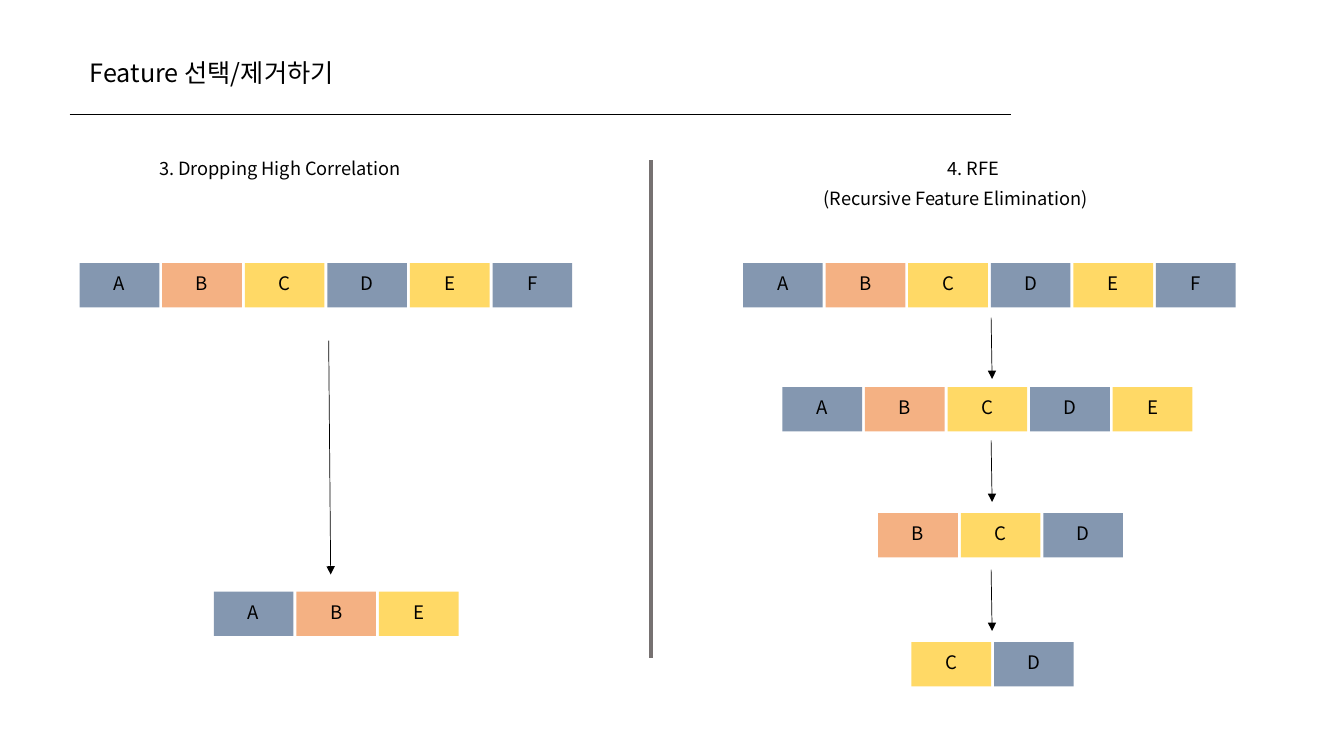
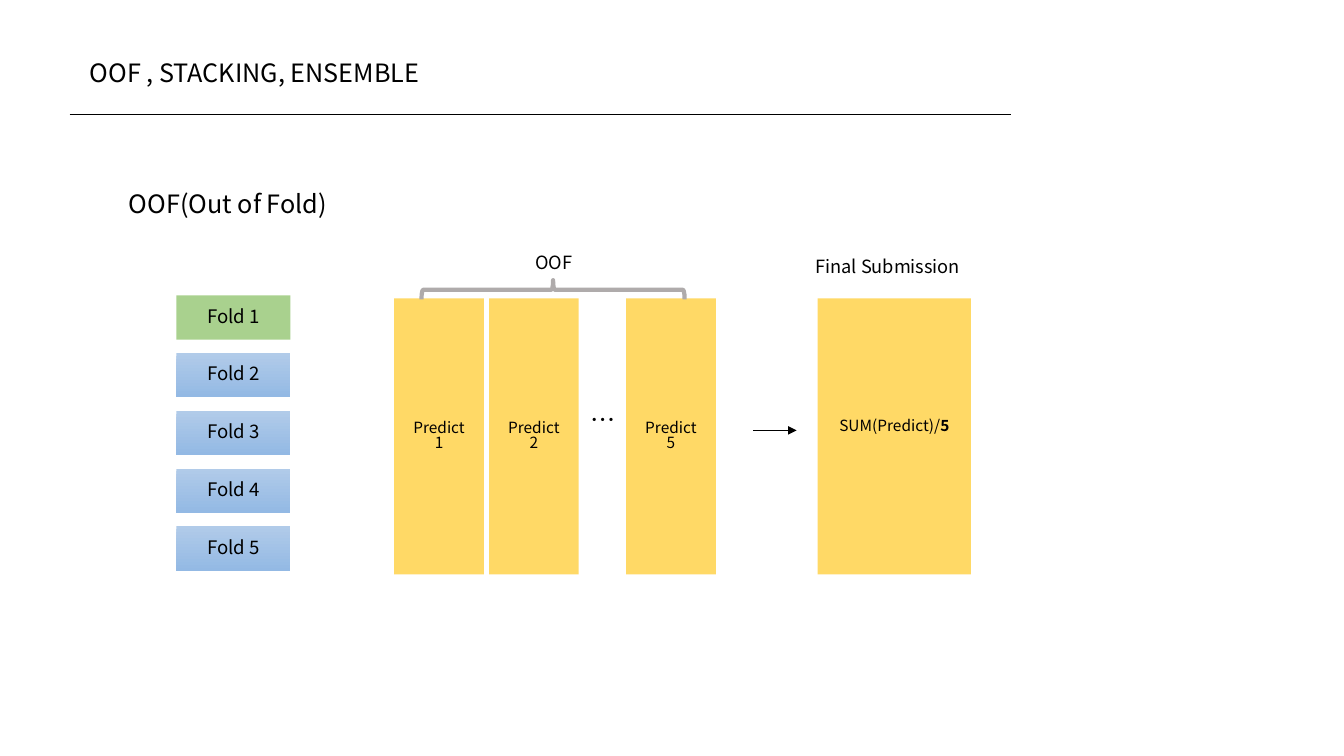
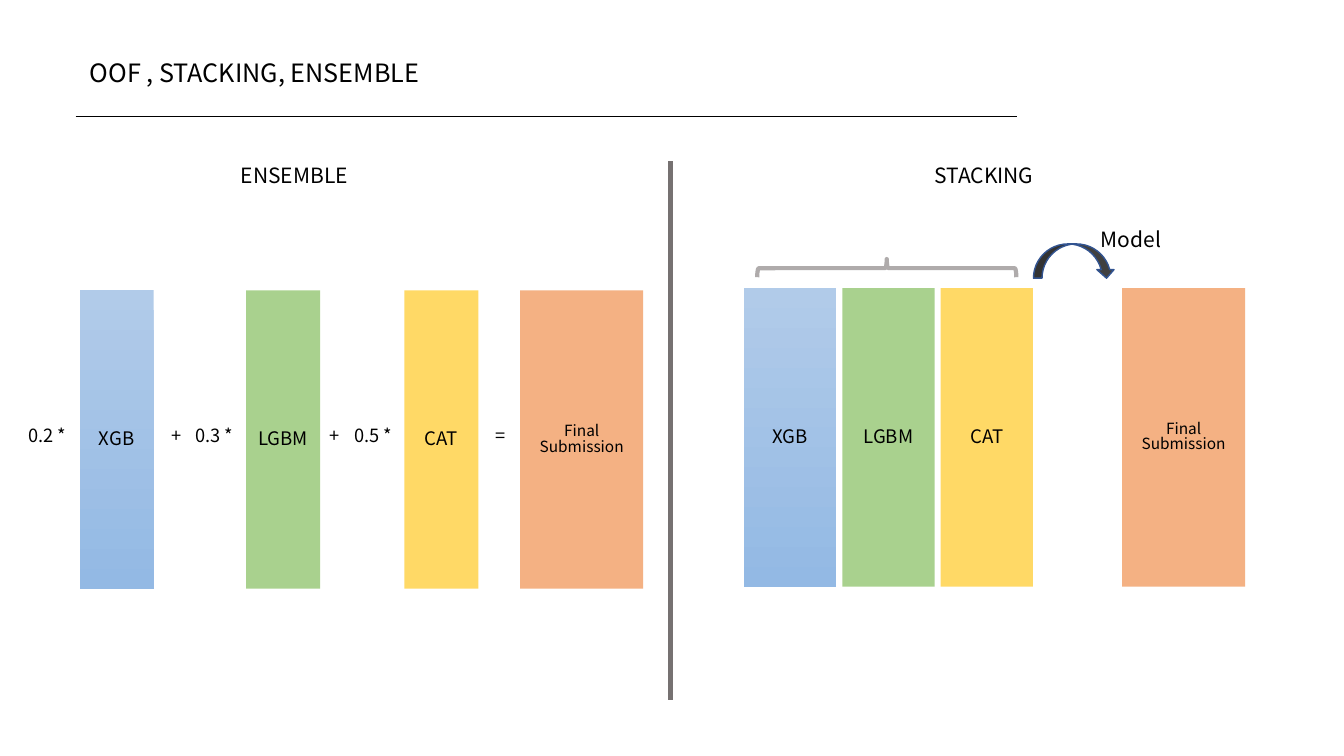
from lxml.etree import SubElement
from pptx import Presentation
from pptx.dml.color import RGBColor
from pptx.enum.shapes import MSO_CONNECTOR, MSO_SHAPE
from pptx.enum.text import MSO_ANCHOR, MSO_AUTO_SIZE, PP_ALIGN
from pptx.oxml.ns import qn
from pptx.util import Inches, Pt

FONT = "Noto Sans CJK KR"
BLACK, GREY, BRACE_GREY = "000000", "767171", "AFABAB"
SLATE, ORANGE, YELLOW, GREEN = "8497B0", "F4B183", "FFD966", "A9D18E"
BLUE = ("B1CBE9", "93B9E4")
DARK, NAVY = "404040", "325491"
FEATURE_COLORS = dict(zip("ABCDEF", (SLATE, ORANGE, YELLOW, SLATE, YELLOW, SLATE)))
MODELS = (("XGB", BLUE), ("LGBM", GREEN), ("CAT", YELLOW))
COLUMNS, ROWS = 133.3, 75
CELL_W, CELL_H, CELL_STEP = 7.9, 4.4, 8.19


def grid(*values):
    return [Inches(v / 10) for v in values]


def within(box, x, y, w, h):
    return box[0] + x, box[1] + y, w, h


def rgb(color):
    return RGBColor.from_string(color)


def paint(sp, color):
    if isinstance(color, tuple):
        sp.fill.gradient()
        sp.fill.gradient_angle = 270
        for stop, c in zip(sp.fill.gradient_stops, color):
            stop.color.rgb = rgb(c)
    elif color:
        sp.fill.solid()
        sp.fill.fore_color.rgb = rgb(color)
    else:
        sp.fill.background()


def write(sp, text, size=13, align=PP_ALIGN.LEFT, anchor=MSO_ANCHOR.TOP,
          side=1, bottom=0.5, bold_tail=""):
    tf = sp.text_frame
    tf.word_wrap = True
    tf.auto_size = MSO_AUTO_SIZE.NONE
    tf.vertical_anchor = anchor
    tf.margin_left, tf.margin_right, tf.margin_top, tf.margin_bottom = grid(side, side, 0.5, bottom)
    for i, line in enumerate(text.split("\n")):
        p = tf.paragraphs[0] if i == 0 else tf.add_paragraph()
        p.alignment = align
        p.line_spacing = 0.85
        for part, bold in ((line, False), (bold_tail, True)):
            if part:
                r = p.add_run()
                r.text = part
                r.font.size = Pt(size)
                r.font.name = FONT
                r.font.bold = bold
                r.font.color.rgb = rgb(BLACK)
                SubElement(r.font._element, qn("a:ea"), typeface=FONT)


def label(slide, box, text, **fmt):
    write(slide.shapes.add_textbox(*grid(*box)), text, **fmt)


def shape(slide, kind, box, fill=None, line=None, width=1):
    sp = slide.shapes.add_shape(kind, *grid(*box))
    sp.shadow.inherit = False
    paint(sp, fill)
    if line:
        sp.line.color.rgb = rgb(line)
        sp.line.width = Pt(width)
    else:
        sp.line.fill.background()
    return sp


def block(slide, box, text, fill, size=13.3, **fmt):
    sp = shape(slide, MSO_SHAPE.RECTANGLE, box, fill)
    write(sp, text, size=size, align=PP_ALIGN.CENTER, anchor=MSO_ANCHOR.MIDDLE, side=0.5, **fmt)


def line(slide, x1, y1, x2, y2, color=BLACK, width=0.5, arrow=False):
    c = slide.shapes.add_connector(MSO_CONNECTOR.STRAIGHT, *grid(x1, y1, x2, y2))
    c.line.color.rgb = rgb(color)
    c.line.width = Pt(width)
    sp_pr = c._element.spPr
    if arrow:
        SubElement(sp_pr.find(qn("a:ln")), qn("a:tailEnd"), type="triangle")
    SubElement(sp_pr, qn("a:effectLst"))


def brace(slide, box):
    x, y, w, h = box
    upright = (x + (w - h) / 2, y + (h - w) / 2, h, w)
    shape(slide, MSO_SHAPE.LEFT_BRACE, upright, line=BRACE_GREY, width=3).rotation = 90


def titled_slide(prs, title, rule_x=6.9, rule_y=11.3):
    slide = prs.slides.add_slide(prs.slide_layouts[5])
    sp = slide.shapes.title
    sp.left, sp.top, sp.width, sp.height = grid(7.9, 5.6, 44.5, 4)
    write(sp, title, size=18)
    line(slide, rule_x, rule_y, rule_x + 93.4, rule_y)
    return slide


def divider(slide, x, top, bottom):
    line(slide, x, top, x, bottom, GREY, 3)


def feature_chain(slide, box, x, y, names):
    for i, name in enumerate(names):
        cell = within(box, x + i * CELL_STEP, y, CELL_W, CELL_H)
        block(slide, cell, name, FEATURE_COLORS[name])


def elimination(slide, box, headings, chains, arrows):
    for x, y, w, text in headings:
        label(slide, within(box, x, y, w, 3.2), text)
    for x, y, names in chains:
        feature_chain(slide, box, x, y, names)
    for x, y, dx, dy in arrows:
        left, top = box[0] + x, box[1] + y
        line(slide, left, top, left + dx, top + dy, arrow=True)


def folds(slide, box):
    for i in range(5):
        cell = within(box, 0, i * 5.73, 11.3, 4.4)
        block(slide, cell, f"Fold {i + 1}", BLUE if i else GREEN)


def predictions(slide, box):
    for x, number in ((0, 1), (9.4, 2), (23, 5)):
        block(slide, within(box, x, 0, 8.9, box[3]), f"Predict\n{number}", YELLOW, size=11)
    label(slide, within(box, 18.5, 10.5, 4.3, 4), "…", size=18)
    label(slide, within(box, 13, -4.8, 7, 3.2), "OOF")
    brace(slide, within(box, 2.7, -1.8, 26.1, 1.9))


def submission(slide, box):
    line(slide, box[0] - 6.4, box[1] + 13.1, box[0] - 2.1, box[1] + 13.1, arrow=True)
    block(slide, box, "SUM(Predict)/", YELLOW, size=11, bold_tail="5", bottom=2.4)
    label(slide, within(box, -1.2, -4.4, 20.4, 3.2), "Final Submission")


def final_block(slide, box, x):
    block(slide, within(box, x, 0, 12.2, box[3]), "Final\nSubmission", ORANGE, size=11)


def ensemble(slide, box):
    label(slide, within(box, 15, -12.8, 14.4, 3.5), "ENSEMBLE", size=15)
    for x, (name, color) in zip((0, 16.5, 32.2), MODELS):
        block(slide, within(box, x, 0, 7.35, box[3]), name, color)
    for x, w, text in ((-6.1, 7, "0.2 *"), (8.1, 3.4, "+"), (10.5, 7, "0.3 *"),
                       (23.8, 3.4, "+"), (26.3, 7, "0.5 *"), (40.3, 4.3, "=")):
        label(slide, within(box, x, 13.1, w, 3.2), text)
    final_block(slide, box, 43.7)


def stacking(slide, box):
    label(slide, within(box, 17.9, -12.6, 41.7, 3.5), "STACKING", size=15)
    for i, (name, color) in enumerate(MODELS):
        block(slide, within(box, i * 9.75, 0, 9.15, box[3]), name, color)
    final_block(slide, box, 37.5)
    brace(slide, within(box, 1.3, -2.9, 25.7, 1.8))
    shape(slide, MSO_SHAPE.CURVED_DOWN_ARROW, within(box, 28.7, -4.4, 8.1, 3.4), DARK, NAVY)
    label(slide, within(box, 34.4, -6.2, 9.2, 3.5), "Model", size=15)


def selection_slide(prs):
    slide = titled_slide(prs, "Feature 선택/제거하기")
    divider(slide, 64.6, 15.9, 65.3)
    elimination(slide, (7.9, 15.4, 48.8, 50),
                [(6.9, 0, 35.1, "3. Dropping High Correlation")],
                [(0, 10.7, "ABCDEF"), (13.3, 43.3, "ABE")],
                [(24.7, 18.4, 0.2, 23.2)])
    elimination(slide, (73.7, 15.4, 48.8, 53),
                [(19.3, 0, 9.1, "4. RFE"), (7, 3, 33.9, "(Recursive Feature Elimination)")],
                [(0, 10.7, "ABCDEF"), (3.9, 23, "ABCDE"), (13.4, 35.5, "BCD"), (16.7, 48.3, "CD")],
                [(24.6, y, 0.1, 6.1) for y in (16.1, 28.3, 41.1)])


def oof_slide(prs):
    slide = titled_slide(prs, "OOF , STACKING, ENSEMBLE")
    label(slide, (11.8, 18.7, 24.8, 4), "OOF(Out of Fold)", size=18)
    folds(slide, (17.5, 29.3, 11.3, 27.4))
    predictions(slide, (39.1, 29.6, 31.9, 27.4))
    submission(slide, (81.1, 29.6, 15.2, 27.4))


def blending_slide(prs):
    slide = titled_slide(prs, "OOF , STACKING, ENSEMBLE", 7.5, 11.5)
    divider(slide, 66.5, 16, 69.4)
    ensemble(slide, (7.9, 28.8, 55.9, 29.6))
    stacking(slide, (73.8, 28.6, 49.7, 29.6))


def main():
    prs = Presentation()
    prs.slide_width, prs.slide_height = grid(COLUMNS, ROWS)
    selection_slide(prs)
    oof_slide(prs)
    blending_slide(prs)
    prs.save("out.pptx")


if __name__ == "__main__":
    main()
